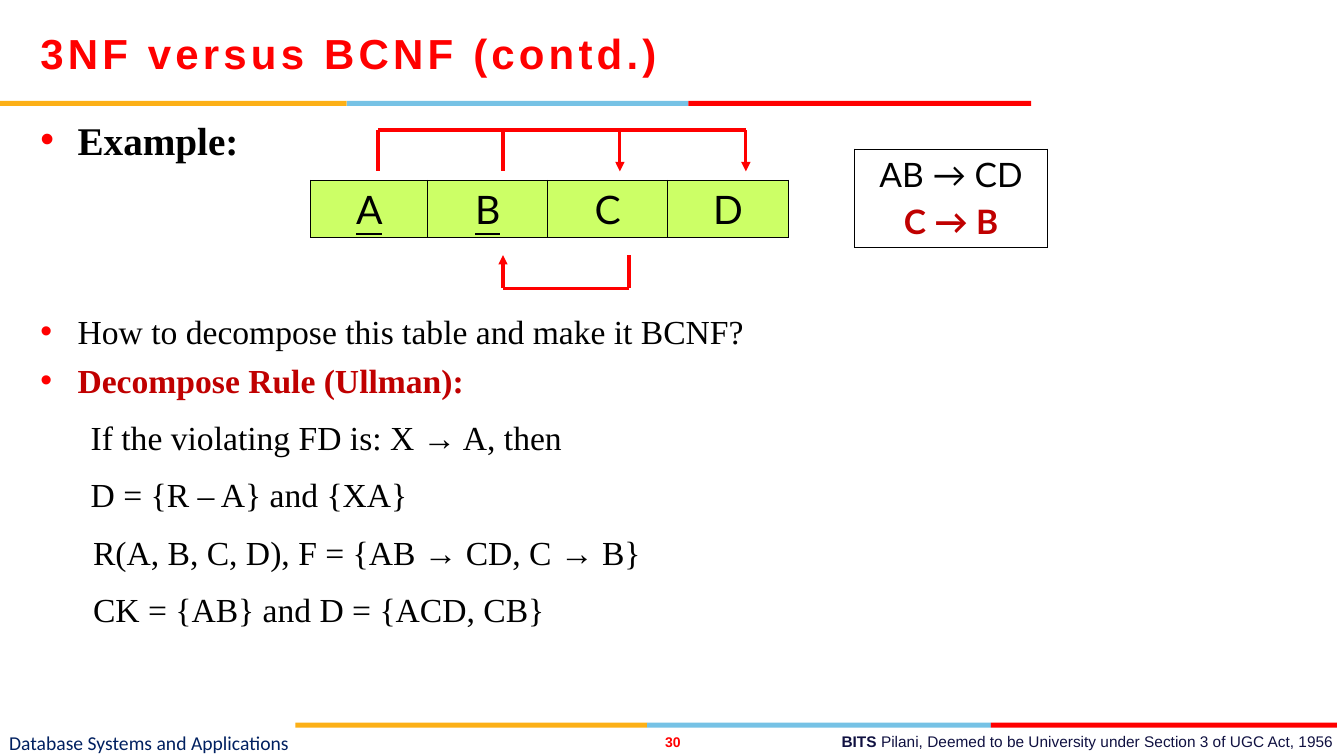
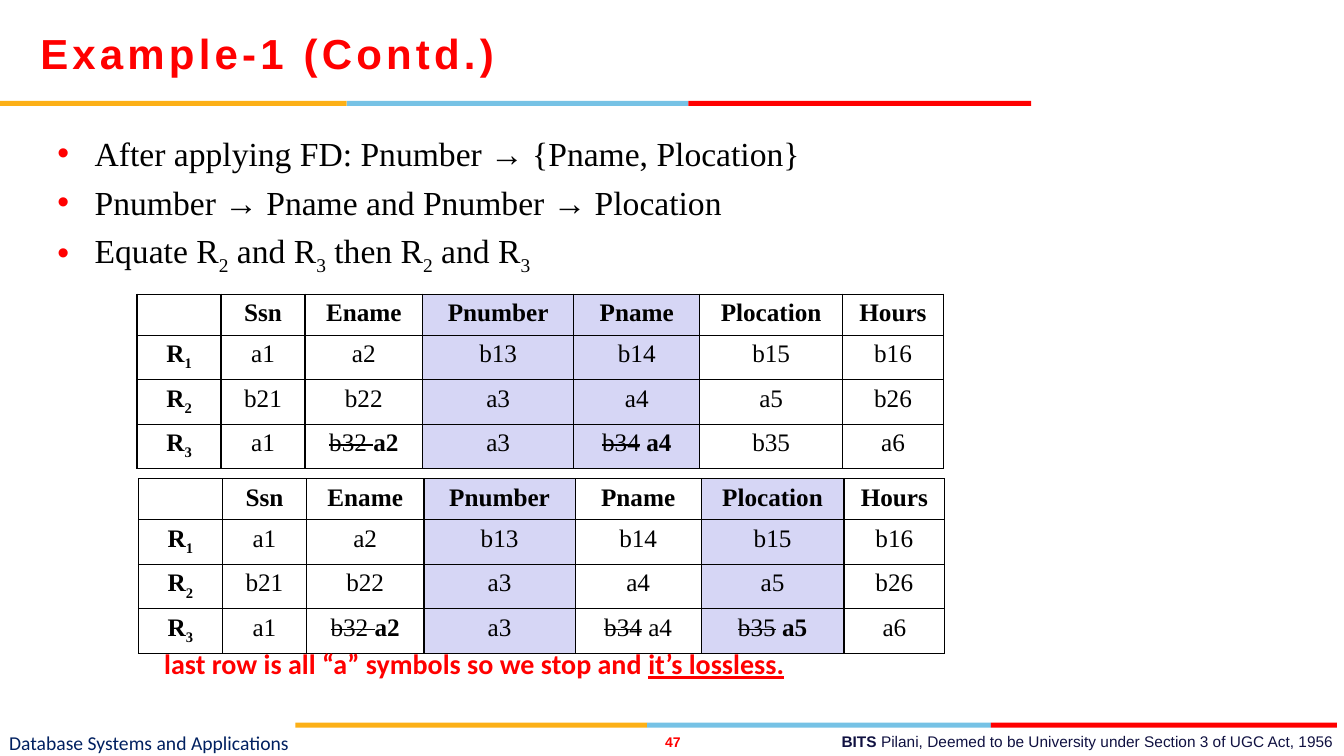
"""Build two lecture slides on normal forms and lossless decomposition."""

from collections.abc import Sequence
from dataclasses import dataclass

import lxml.etree
import pptx
import pptx.dml.color
import pptx.enum.shapes
import pptx.enum.text
import pptx.oxml.ns
import pptx.slide
import pptx.util

Pt = pptx.util.Pt
RGBColor = pptx.dml.color.RGBColor
Align = pptx.enum.text.PP_ALIGN
Anchor = pptx.enum.text.MSO_ANCHOR

RED = RGBColor(0xFF, 0x00, 0x00)
DARK_RED = RGBColor(0xC0, 0x00, 0x00)
GOLD = RGBColor(0xFC, 0xB0, 0x17)
SKY = RGBColor(0x76, 0xC2, 0xE5)
NAVY = RGBColor(0x00, 0x20, 0x60)
INDIGO = RGBColor(0x10, 0x11, 0x41)
BLACK = RGBColor(0x00, 0x00, 0x00)
LIME = RGBColor(0xCC, 0xFF, 0x66)
LAVENDER = RGBColor(0xD6, 0xD6, 0xF5)

SERIF = "Times New Roman"
BAND_HEIGHT = 3.6
BULLET_INDENT = 26.64


@dataclass(frozen=True)
class Span:
    text: str
    bold: bool = False
    underline: bool = False
    strike: bool = False
    subscript: bool = False


@dataclass(frozen=True)
class Line:
    spans: Sequence[Span]
    size: float = 24
    font: str = SERIF
    color: RGBColor = BLACK
    align: Align = Align.LEFT
    before: float = 0
    after: float = 0
    indent: float = 0
    bullet: bool = False
    tracking: float = 0


@dataclass(frozen=True)
class Box:
    left: float
    top: float
    width: float
    height: float

    def lengths(self) -> list[pptx.util.Length]:
        return [Pt(value) for value in (self.left, self.top, self.width, self.height)]


@dataclass(frozen=True)
class Stroke:
    start: tuple[float, float]
    end: tuple[float, float]
    arrow: bool = False


@dataclass(frozen=True)
class Cell:
    lines: Sequence[Line] = ()
    fill: RGBColor | None = None


def add_element(parent, tag: str, **attributes: str):
    name = pptx.oxml.ns.qn(tag)
    return lxml.etree.SubElement(parent, name, attributes)


def add_run(paragraph, text: str, *, size: float, font: str, color: RGBColor,
            bold: bool = False, underline: bool = False, strike: bool = False,
            subscript: bool = False, tracking: float = 0) -> None:
    run = paragraph.add_run()
    run.text = text
    run.font.size = Pt(size)
    run.font.name = font
    run.font.color.rgb = color
    run.font.bold = bold
    run.font.underline = underline
    properties = run._r.get_or_add_rPr()
    if strike:
        properties.set("strike", "sngStrike")
    if subscript:
        properties.set("baseline", "-25000")
    if tracking:
        properties.set("spc", str(round(tracking * 100)))


def write_lines(text_frame, lines: Sequence[Line]) -> None:
    for index, line in enumerate(lines):
        paragraph = text_frame.add_paragraph() if index else text_frame.paragraphs[0]
        properties = paragraph._p.get_or_add_pPr()
        indent = BULLET_INDENT if line.bullet else line.indent
        properties.set("marL", str(Pt(indent)))
        properties.set("indent", str(-Pt(indent) if line.bullet else 0))
        if line.bullet:
            add_element(add_element(properties, "a:buClr"), "a:srgbClr", val=str(RED))
            add_element(properties, "a:buFont", typeface="Arial")
            add_element(properties, "a:buChar", char="•")
        paragraph.alignment = line.align
        if index:
            paragraph.space_before = Pt(line.before)
        paragraph.space_after = Pt(line.after)
        for span in line.spans:
            add_run(paragraph, span.text, size=line.size, font=line.font,
                    color=line.color, bold=span.bold, underline=span.underline,
                    strike=span.strike, subscript=span.subscript,
                    tracking=line.tracking)


def add_text(slide: pptx.slide.Slide, box: Box, lines: Sequence[Line], *,
             anchor: Anchor = Anchor.TOP, side: float = 0, edge: float = 0) -> None:
    text_frame = slide.shapes.add_textbox(*box.lengths()).text_frame
    text_frame.word_wrap = True
    text_frame.vertical_anchor = anchor
    text_frame.margin_left = text_frame.margin_right = Pt(side)
    text_frame.margin_top = text_frame.margin_bottom = Pt(edge)
    write_lines(text_frame, lines)


def add_bands(slide: pptx.slide.Slide, top: float, stops: Sequence[float]) -> None:
    for left, right, color in zip(stops, stops[1:], (GOLD, SKY, RED)):
        box = Box(left, top, right - left, BAND_HEIGHT)
        shape = slide.shapes.add_shape(
            pptx.enum.shapes.MSO_SHAPE.RECTANGLE, *box.lengths())
        shape.shadow.inherit = False
        shape.fill.solid()
        shape.fill.fore_color.rgb = color
        shape.line.fill.background()


def add_stroke(slide: pptx.slide.Slide, stroke: Stroke) -> None:
    connector = slide.shapes.add_connector(
        pptx.enum.shapes.MSO_CONNECTOR.STRAIGHT,
        *(Pt(value) for value in stroke.start + stroke.end))
    connector.line.color.rgb = RED
    connector.line.width = Pt(2.25)
    if stroke.arrow:
        add_element(connector.line._get_or_add_ln(), "a:tailEnd", type="triangle")
    add_element(connector._element.spPr, "a:effectLst")


def add_grid(slide: pptx.slide.Slide, left: float, top: float,
             widths: Sequence[float], row_height: float,
             rows: Sequence[Sequence[Cell]]) -> None:
    box = Box(left, top, sum(widths), row_height * len(rows))
    table = slide.shapes.add_table(len(rows), len(widths), *box.lengths()).table
    table.first_row = table.horz_banding = False
    for column, width in zip(table.columns, widths):
        column.width = Pt(width)
    for row_index, row in enumerate(rows):
        table.rows[row_index].height = Pt(row_height)
        for column_index, content in enumerate(row):
            cell = table.cell(row_index, column_index)
            properties = cell._tc.get_or_add_tcPr()
            for side in ("a:lnL", "a:lnR", "a:lnT", "a:lnB"):
                border = add_element(properties, side, w=str(Pt(1)))
                fill = add_element(border, "a:solidFill")
                add_element(fill, "a:srgbClr", val=str(BLACK))
            if content.fill is None:
                cell.fill.background()
            else:
                cell.fill.solid()
                cell.fill.fore_color.rgb = content.fill
            write_lines(cell.text_frame, content.lines)


def add_framed_slide(presentation, title: str, number: int) -> pptx.slide.Slide:
    slide = presentation.slides.add_slide(presentation.slide_layouts[6])
    add_bands(slide, 72, (0, 247.7, 491.8, 736.6))
    add_bands(slide, 516.2, (211, 462.2, 707.8, 955))
    add_text(slide, Box(6.5, 520.6, 357, 19.4),
             [Line([Span("Database Systems and Applications")], 14, "Calibri", NAVY)],
             anchor=Anchor.MIDDLE)
    add_text(slide, Box(468.7, 524.2, 23.8, 12.2),
             [Line([Span(str(number), bold=True)], 10, "Arial", RED, Align.CENTER)],
             anchor=Anchor.MIDDLE)
    add_text(slide, Box(578.2, 519.1, 381.6, 20.9),
             [Line([Span("BITS ", bold=True),
                    Span("Pilani, Deemed to be University under Section 3 of UGC Act, 1956")],
                   11, "Arial", INDIGO, Align.RIGHT)],
             side=7.2, edge=3.6)
    add_text(slide, Box(28.8, 7.2, 700, 61.2),
             [Line([Span(title, bold=True)], 30, "Arial", RED, tracking=3)],
             anchor=Anchor.MIDDLE)
    return slide


def build_normal_forms(presentation) -> None:
    slide = add_framed_slide(presentation, "3NF versus BCNF (contd.)", 30)
    steps = (
        ("If the violating FD is: X → A, then", 36),
        ("D = {R – A} and {XA}", 36),
        ("R(A, B, C, D), F = {AB → CD, C → B}", 37.7),
        ("CK = {AB} and D = {ACD, CB}", 37.7),
    )
    add_text(slide, Box(28.8, 79.2, 799.2, 432), [
        Line([Span("Example:", bold=True)], 28, bullet=True),
        Line([Span("How to decompose this table and make it BCNF?")],
             before=106, bullet=True),
        Line([Span("Decompose Rule (Ullman):", bold=True)], color=DARK_RED,
             before=6, after=6, bullet=True),
        *(Line([Span(text)], before=6, after=6, indent=indent)
          for text, indent in steps),
    ], edge=3.6)
    attributes = [
        Cell([Line([Span(name, underline=name in "AB")], 28, "Lato",
                   align=Align.CENTER)], LIME)
        for name in "ABCD"]
    add_grid(slide, 222, 128.9, (83.5, 85.7, 85.7, 86.4), 41, [attributes])
    dependencies = Cell([
        Line([Span("AB → CD")], 24, "Lato", align=Align.CENTER),
        Line([Span("C → B", bold=True)], 24, "Lato", DARK_RED, Align.CENTER, before=4.8),
    ])
    add_grid(slide, 610.6, 106.6, (137.5,), 70, [[dependencies]])

    a, b, c, d, c_below = 270, 359.3, 442.8, 532.8, 449.3
    upper, upper_end, lower, lower_end = 92.9, 122.4, 205.9, 182.2
    strokes = [Stroke((a, upper), (d, upper)), Stroke((b, lower), (c_below, lower)),
               Stroke((c_below, lower_end), (c_below, lower)),
               Stroke((b, lower), (b, lower_end), arrow=True)]
    strokes += [Stroke((x, upper), (x, upper_end), arrow=x in (c, d))
                for x in (a, b, c, d)]
    for stroke in strokes:
        add_stroke(slide, stroke)


def add_relation(slide: pptx.slide.Slide, left: float, top: float,
                 shaded: Sequence[str], last_row: Sequence[Sequence[Span]]) -> None:
    names = ("", "Ssn", "Ename", "Pnumber", "Pname", "Plocation", "Hours")
    values = ("a1 a2 b13 b14 b15 b16", "b21 b22 a3 a4 a5 b26")
    body = [[[Span(value)] for value in row.split()] for row in values] + [last_row]
    rows = [[[Span(name, bold=True)] if name else [] for name in names]]
    for number, row in enumerate(body, start=1):
        label = [Span("R", bold=True), Span(str(number), bold=True, subscript=True)]
        rows.append([label, *row])
    cells = [[Cell([Line(spans, 18, align=Align.CENTER)],
                   LAVENDER if name in shaded else None)
              for name, spans in zip(names, row)] for row in rows]
    add_grid(slide, left, top, (60, 60, 84, 108, 90, 102, 72), 29.2, cells)


def build_lossless_example(presentation) -> None:
    slide = add_framed_slide(presentation, "Example-1 (Contd.)", 47)
    two, three = (Span(digit, subscript=True) for digit in "23")
    equate = [Span("Equate R"), two, Span(" and R"), three,
              Span(" then R"), two, Span(" and R"), three]
    points = ([Span("After applying FD: Pnumber → {Pname, Plocation}")],
              [Span("Pnumber → Pname and Pnumber → Plocation")], equate)
    add_text(slide, Box(41, 91.4, 833.8, 432),
             [Line(spans, before=6, bullet=True) for spans in points], edge=3.6)
    ssn, ename = [Span("a1")], [Span("b32 ", strike=True), Span("a2", bold=True)]
    pnumber, hours = [Span("a3")], [Span("a6")]
    old_pname, old_plocation = Span("b34", strike=True), Span("b35", strike=True)
    add_relation(slide, 97.9, 210.2, ("Pnumber", "Pname"),
                 [ssn, ename, pnumber, [old_pname, Span(" "), Span("a4", bold=True)],
                  [Span("b35")], hours])
    add_relation(slide, 98.9, 342, ("Pnumber", "Plocation"),
                 [ssn, ename, pnumber, [old_pname, Span(" a4")],
                  [old_plocation, Span(" "), Span("a5", bold=True)], hours])
    add_text(slide, Box(110.2, 458.6, 541.4, 31.7),
             [Line([Span("last row is all “a” symbols so we stop and ", bold=True),
                    Span("it’s lossless.", bold=True, underline=True)],
                   20, "Calibri", RED)], side=7.2, edge=3.6)


def main() -> None:
    presentation = pptx.Presentation()
    presentation.slide_width = Pt(960)
    presentation.slide_height = Pt(540)
    build_normal_forms(presentation)
    build_lossless_example(presentation)
    presentation.save("out.pptx")


if __name__ == "__main__":
    main()
